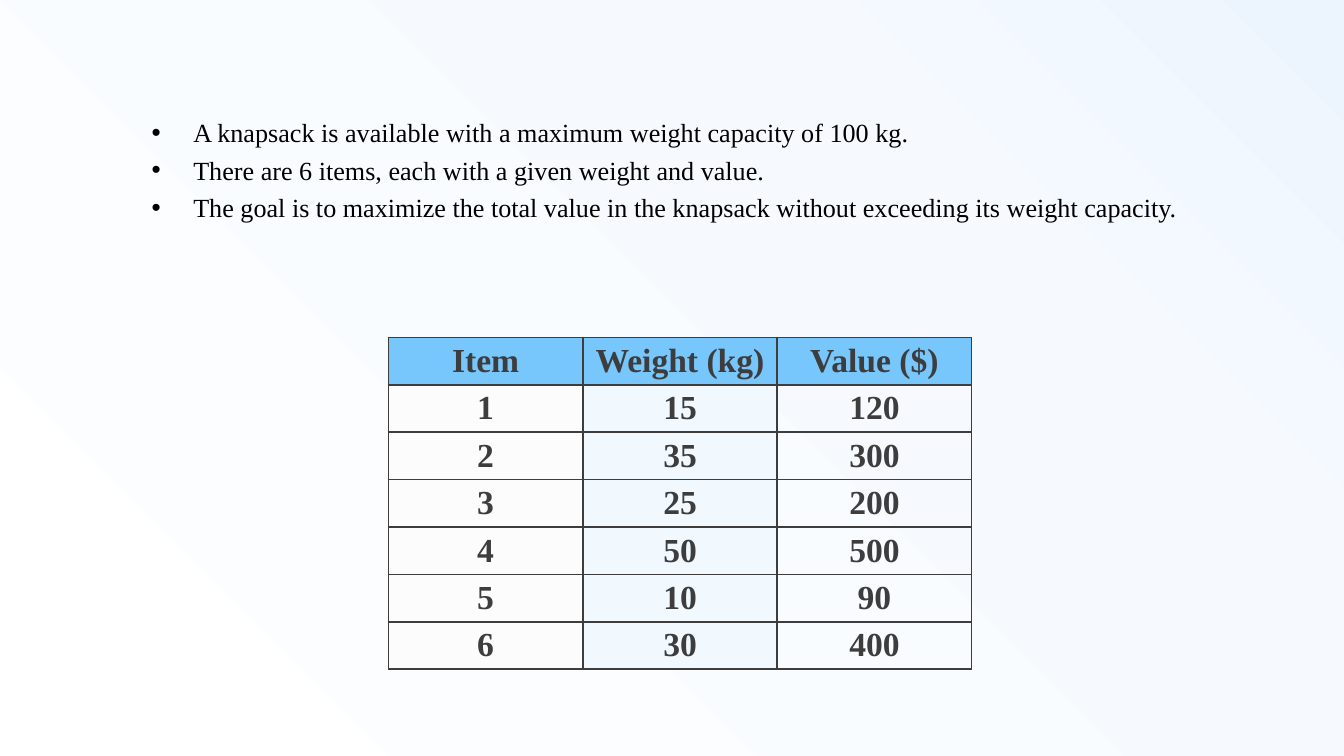
from lxml import etree
from pptx import Presentation
from pptx import util as u
from pptx.dml import color
from pptx.enum import text
from pptx.oxml import ns, parse_xml

BLACK = color.RGBColor(0x00, 0x00, 0x00)
CHARCOAL = color.RGBColor(0x3D, 0x3D, 0x3D)
SKY = color.RGBColor(0x77, 0xC6, 0xFC)
NEAR_WHITE = color.RGBColor(0xFC, 0xFC, 0xFC)
PALE_BLUE = color.RGBColor(0xF1, 0xF9, 0xFF)
BACKGROUND_STOPS = [
    (0, color.RGBColor(0xEC, 0xF5, 0xFE)),
    (29, color.RGBColor(0xF6, 0xFA, 0xFF)),
    (99, color.RGBColor(0xFF, 0xFF, 0xFF)),
]
FONT = "Times New Roman"

BULLETS = [
    "A knapsack is available with a maximum weight capacity of 100 kg.",
    "There are 6 items, each with a given weight and value.",
    "The goal is to maximize the total value in the knapsack without exceeding its weight capacity.",
]
ROWS = [
    ("Item", "Weight (kg)", "Value ($)"),
    (1, 15, 120),
    (2, 35, 300),
    (3, 25, 200),
    (4, 50, 500),
    (5, 10, 90),
    (6, 30, 400),
]
COLUMN_FILLS = [NEAR_WHITE, PALE_BLUE, None]


def apply_format(target, values):
    for name, value in values.items():
        setattr(target, name, value)


def add_element(parent, tag, **attributes):
    return etree.SubElement(parent, ns.qn(tag), attributes)


# Widescreen slide, 16:9
presentation = Presentation()
presentation.slide_width = u.Inches(10)
presentation.slide_height = u.Inches(10 * 9 / 16)
slide = presentation.slides.add_slide(presentation.slide_layouts[6])

# Background: radial gradient centred on the top right corner
stops = "".join(
    f'<a:gs pos="{position * 1000}"><a:srgbClr val="{stop}"/></a:gs>'
    for position, stop in BACKGROUND_STOPS
)
gradient = parse_xml(
    f'<a:gradFill {ns.nsdecls("a")} rotWithShape="1"><a:gsLst>{stops}</a:gsLst>'
    '<a:path path="circle"><a:fillToRect l="100000" b="100000"/></a:path></a:gradFill>'
)
slide.background.fill.solid()
solid = slide.background._cSld.find(".//" + ns.qn("a:solidFill"))
solid.getparent().replace(solid, gradient)

# Problem statement
statement = slide.shapes.add_textbox(
    u.Inches(0.88), u.Inches(0.77), u.Inches(8.25), u.Inches(4.08)
)
frame = statement.text_frame
frame.word_wrap = True
for index, bullet in enumerate(BULLETS):
    paragraph = frame.paragraphs[0] if index == 0 else frame.add_paragraph()
    apply_format(paragraph, {"alignment": text.PP_ALIGN.JUSTIFY, "line_spacing": 1.2})
    properties = paragraph._p.get_or_add_pPr()
    properties.set("marL", str(u.Inches(0.46)))
    properties.set("indent", str(u.Inches(-0.31)))
    bullet_color = add_element(properties, "a:buClr")
    add_element(bullet_color, "a:srgbClr", val=str(BLACK))
    add_element(properties, "a:buFont", typeface="Arial")
    add_element(properties, "a:buChar", char="•")
    run = paragraph.add_run()
    run.text = bullet
    apply_format(run.font, {"name": FONT, "size": u.Pt(14)})
    run.font.color.rgb = BLACK

# Item table
table_width, table_height = u.Inches(4.34), u.Inches(2.47)
table = slide.shapes.add_table(
    len(ROWS), len(COLUMN_FILLS), u.Inches(2.89), u.Inches(2.51),
    table_width, table_height,
).table
for column in table.columns:
    column.width = table_width // len(COLUMN_FILLS)

margins = ("margin_left", "margin_right", "margin_top", "margin_bottom")
cell_format = dict.fromkeys(margins, u.Inches(0.02))
cell_format["vertical_anchor"] = text.MSO_ANCHOR.MIDDLE

for row_index, values in enumerate(ROWS):
    table.rows[row_index].height = table_height // len(ROWS)
    for column_index, value in enumerate(values):
        cell = table.cell(row_index, column_index)
        apply_format(cell, cell_format)
        cell.text = str(value)
        paragraph = cell.text_frame.paragraphs[0]
        paragraph.alignment = text.PP_ALIGN.CENTER
        font = paragraph.runs[0].font
        apply_format(font, {"name": FONT, "size": u.Pt(18), "bold": True})
        font.color.rgb = CHARCOAL

        # Borders come before the fill in the cell properties
        for side in ("a:lnL", "a:lnR", "a:lnT", "a:lnB"):
            border = add_element(cell._tc.get_or_add_tcPr(), side, w=str(u.Pt(1)))
            border_fill = add_element(border, "a:solidFill")
            add_element(border_fill, "a:srgbClr", val=str(CHARCOAL))
        cell_color = SKY if row_index == 0 else COLUMN_FILLS[column_index]
        if cell_color is None:
            cell.fill.background()
        else:
            cell.fill.solid()
            cell.fill.fore_color.rgb = cell_color

presentation.save("out.pptx")
